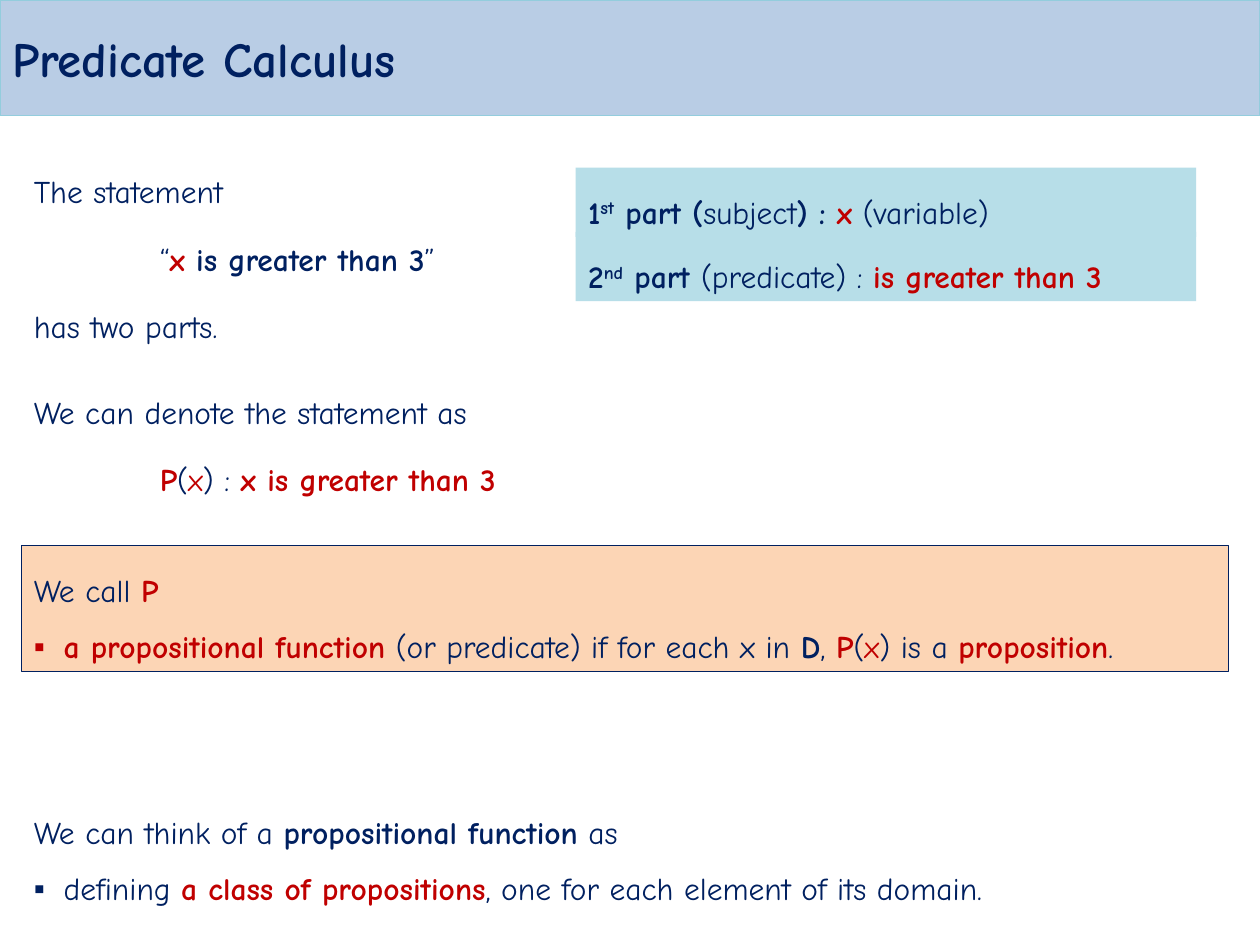
from lxml import etree
from pptx import Presentation
from pptx.dml.color import RGBColor
from pptx.enum import shapes, text
from pptx.oxml.ns import qn
from pptx.util import Pt

NAVY = RGBColor(0x00, 0x20, 0x60)
RED = RGBColor(0xC0, 0x00, 0x00)
TEAL = RGBColor(0xB7, 0xDE, 0xE8)
PEACH = RGBColor(0xFC, 0xD5, 0xB5)
HEADER_BLUE = RGBColor(0xB9, 0xCD, 0xE5)
HEADER_EDGE = RGBColor(0x93, 0xCD, 0xDD)

FONT = "Comic Neue"
TITLE_SIZE, BODY_SIZE = 28, 18
LEFT, PART_LEFT, PART_WIDTH, PART_HEIGHT = 12.24, 329, 354.5, 39.6
INDENTS = {"plain": (0, 0), "quote": (72, 0), "bullet": (17, -17)}

# A run is (text, style): b = bold, r = red, s = superscript.
# A paragraph is (kind, space before and after, runs).
STATEMENT = [
    ("plain", 6, [("The statement", "")]),
    ("quote", 0, [("“", ""), ("x ", "br"), ("is greater than 3", "b"), ("”", "")]),
    ("plain", 6, [("has two parts.", "")]),
]
SUBJECT = [
    ("plain", 6, [("1", "b"), ("st", "bs"), (" part (", "b"), ("subject", ""),
                  (") : ", "b"), ("x", "br"), (" (variable)", "")]),
]
PREDICATE = [
    ("plain", 6, [("2", "b"), ("nd", "bs"), (" part ", "b"), ("(predicate) : ", ""),
                  ("is greater than 3", "br")]),
]
NOTATION = [
    ("plain", 6, [("We can denote the statement as", "")]),
    ("quote", 0, [("P", "br"), ("(", ""), ("x", "r"), (") : ", ""),
                  ("x is greater than 3", "br")]),
]
DEFINITION = [
    ("plain", 0, [("We call ", ""), ("P", "br")]),
    ("bullet", 0, [("a propositional function", "br"),
                   (" (or predicate) if for each x in ", ""), ("D", "b"), (", ", ""),
                   ("P", "br"), ("(", ""), ("x", "r"), (") is a ", ""),
                   ("proposition", "br"), (".", "")]),
]
INTERPRETATION = [
    ("plain", 0, [("We can think of a ", ""), ("propositional function", "b"), (" as", "")]),
    ("bullet", 0, [("defining ", ""), ("a class of propositions", "br"),
                   (", one for each element of its domain.", "")]),
]
TITLE = [("plain", 0, [("Predicate Calculus", "b")])]

# (paragraphs, (left, top, width, height), fill, line)
BOXES = [
    (STATEMENT, (LEFT, 84.24, 689.76, 120.24), None, None),
    (SUBJECT, (PART_LEFT, 95.76, PART_WIDTH, PART_HEIGHT), TEAL, None),
    (NOTATION, (LEFT, 210.24, 648, 78.48), None, None),
    (PREDICATE, (PART_LEFT, 132.48, PART_WIDTH, PART_HEIGHT), TEAL, None),
    (DEFINITION, (LEFT, 311.76, 689.76, 72), PEACH, NAVY),
    (INTERPRETATION, (LEFT, 450, 671, 72), None, None),
]


def run_color(style):
    return RED if "r" in style else NAVY


def add_box(slide, place, fill, line):
    place = [Pt(length) for length in place]
    if fill is None:
        return slide.shapes.add_textbox(*place)
    shape = slide.shapes.add_shape(shapes.MSO_SHAPE.RECTANGLE, *place)
    shape.shadow.inherit = False
    shape.fill.solid()
    shape.fill.fore_color.rgb = fill
    if line is None:
        shape.line.fill.background()
    else:
        shape.line.color.rgb = line
        shape.line.width = Pt(0.75)
    return shape


def indent(paragraph, kind, bullet_color):
    properties = paragraph._p.get_or_add_pPr()
    margin, first_line = INDENTS[kind]
    properties.set("marL", str(Pt(margin)))
    properties.set("indent", str(Pt(first_line)))
    if kind == "bullet":
        color = etree.SubElement(properties, qn("a:buClr"))
        etree.SubElement(color, qn("a:srgbClr"), val=str(bullet_color))
        etree.SubElement(properties, qn("a:buFont"), typeface="Arial")
        etree.SubElement(properties, qn("a:buChar"), char="▪")


def write(shape, paragraphs, size, alignment, line_spacing,
          anchor=text.MSO_ANCHOR.TOP):
    frame = shape.text_frame
    frame.word_wrap = True
    frame.vertical_anchor = anchor
    for number, (kind, space, runs) in enumerate(paragraphs):
        paragraph = frame.add_paragraph() if number else frame.paragraphs[0]
        indent(paragraph, kind, run_color(runs[0][1]))
        paragraph.alignment = alignment
        paragraph.line_spacing = line_spacing
        paragraph.space_before = Pt(space if number else 0)
        paragraph.space_after = Pt(space)
        for words, style in runs:
            run = paragraph.add_run()
            run.text = words
            run.font.name = FONT
            run.font.size = Pt(size)
            run.font.bold = "b" in style
            run.font.color.rgb = run_color(style)
            if "s" in style:
                run._r.get_or_add_rPr().set("baseline", "30000")


def main():
    presentation = Presentation()
    presentation.slide_width, presentation.slide_height = Pt(720), Pt(540)
    slide = presentation.slides.add_slide(presentation.slide_layouts[6])
    for paragraphs, place, fill, line in BOXES:
        box = add_box(slide, place, fill, line)
        write(box, paragraphs, BODY_SIZE, text.PP_ALIGN.JUSTIFY, 1.5)
    header = add_box(slide, (0, 0, 720, 66), HEADER_BLUE, HEADER_EDGE)
    write(header, TITLE, TITLE_SIZE, text.PP_ALIGN.LEFT, 1.0, text.MSO_ANCHOR.MIDDLE)
    presentation.save("out.pptx")


if __name__ == "__main__":
    main()
